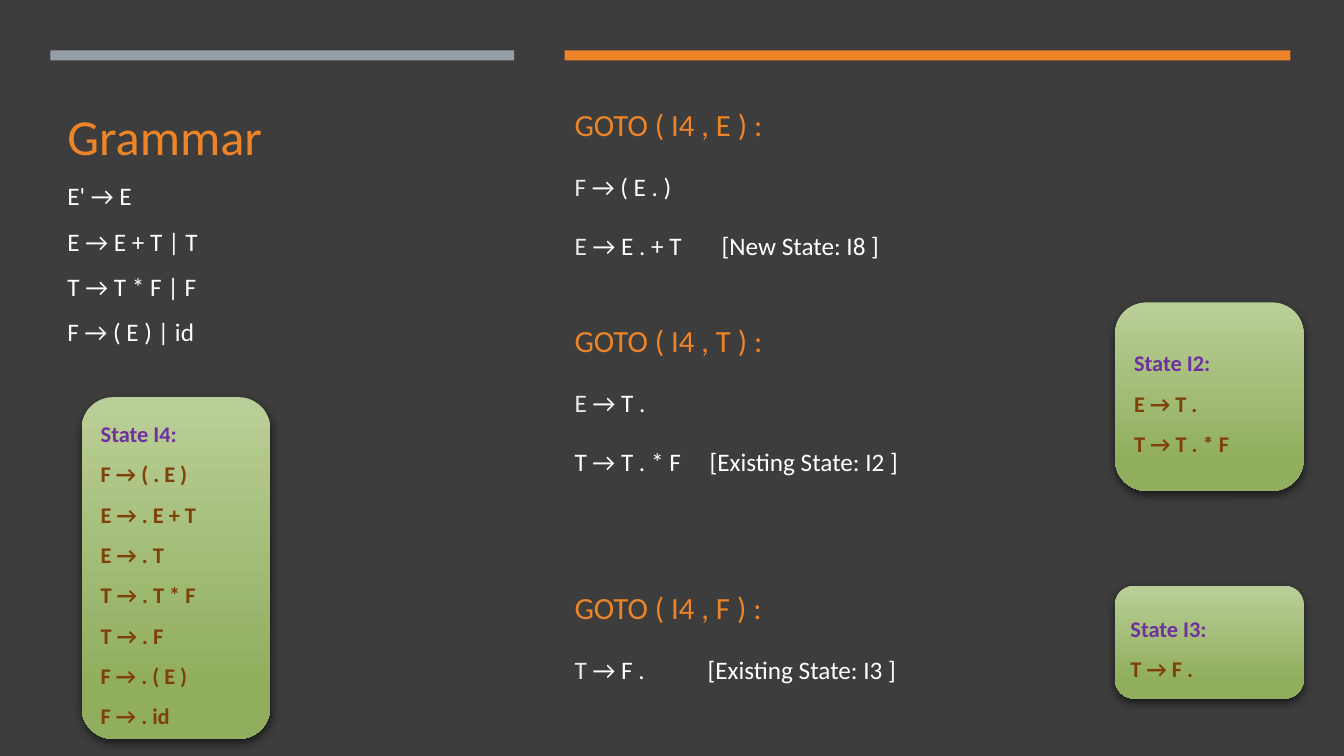
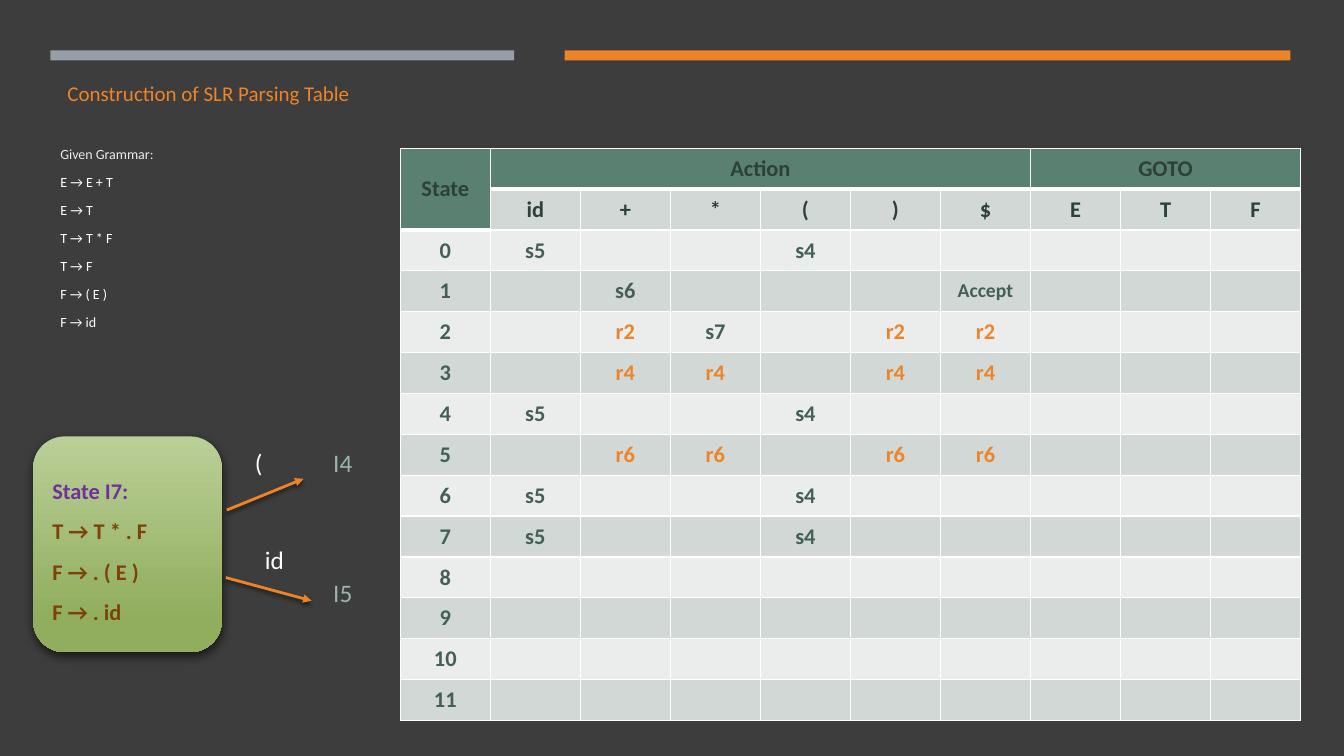
import pptx
import pptx.dml.color
import pptx.enum.dml
import pptx.enum.shapes
import pptx.enum.text
import pptx.oxml
import pptx.oxml.ns
import pptx.util
from lxml import etree

Inches = pptx.util.Inches
Pt = pptx.util.Pt
ANCHOR = pptx.enum.text.MSO_ANCHOR
ALIGN = pptx.enum.text.PP_ALIGN
SHAPE = pptx.enum.shapes.MSO_SHAPE
qn = pptx.oxml.ns.qn

FONT = "Calibri"
COLORS = {
    "background": "3D3D3D",
    "gray_band": "969FA7",
    "accent": "ED8428",
    "white": "FFFFFF",
    "soft_white": "EBEBEB",
    "state_top": "BACF97",
    "state_bottom": "91AE5E",
    "state_name": "7030A0",
    "state_item": "7F410A",
    "target": "98B6AA",
    "table_head": "5A8071",
    "table_head_text": "2D4039",
    "table_text": "446055",
    "row_dark": "D2D8D5",
    "row_light": "EAEDEB",
    "shadow": "000000",
}

SYMBOLS = ["id", "+", "*", "(", ")", "$", "E", "T", "F"]
SHIFTS = {"id": "s5", "(": "s4"}
ACTIONS = {
    0: SHIFTS,
    1: {"+": "s6", "$": "Accept"},
    2: {"*": "s7", **dict.fromkeys("+)$", "r2")},
    3: dict.fromkeys("+*)$", "r4"),
    4: SHIFTS,
    5: dict.fromkeys("+*)$", "r6"),
    6: SHIFTS,
    7: SHIFTS,
}
STATE_COUNT = 12


def rgb(name):
    return pptx.dml.color.RGBColor.from_string(COLORS[name])


def add_run(paragraph, text, size, color, bold=False):
    run = paragraph.add_run()
    run.text = text
    run.font.name = FONT
    run.font.size = Pt(size)
    run.font.bold = bold
    run.font.color.rgb = rgb(color)


def write_lines(frame, lines, bold=False, spacing=1.0, before=0, after=0, align=ALIGN.LEFT, tab=None):
    for index, (size, runs) in enumerate(lines):
        paragraph = frame.paragraphs[0] if index == 0 else frame.add_paragraph()
        paragraph.alignment = align
        paragraph.line_spacing = spacing
        paragraph.space_before = Pt(size * before if index else 0)
        paragraph.space_after = Pt(after)
        if tab:
            tabs = etree.SubElement(paragraph._p.get_or_add_pPr(), qn("a:tabLst"))
            etree.SubElement(tabs, qn("a:tab"), pos=str(Inches(tab)), algn="l")
        for text, color in runs:
            add_run(paragraph, text, size, color, bold)


def add_text(slide, box, lines, anchor=ANCHOR.MIDDLE, **style):
    frame = slide.shapes.add_textbox(*map(Inches, box)).text_frame
    frame.word_wrap = True
    frame.vertical_anchor = anchor
    write_lines(frame, lines, **style)


def add_shadow(shape, alpha, blur, distance, angle):
    properties = shape._element.spPr
    effects = properties.find(qn("a:effectLst"))
    if effects is None:
        effects = etree.SubElement(properties, qn("a:effectLst"))
    shadow = etree.SubElement(
        effects, qn("a:outerShdw"), blurRad=str(Pt(blur)), dist=str(Pt(distance)),
        dir=str(angle * 60000), algn="ctr", rotWithShape="0")
    color = etree.SubElement(shadow, qn("a:srgbClr"), val=COLORS["shadow"])
    etree.SubElement(color, qn("a:alpha"), val=str(alpha * 1000))


def add_band(slide, box, color):
    band = slide.shapes.add_shape(SHAPE.RECTANGLE, *map(Inches, box))
    band.shadow.inherit = False
    band.fill.solid()
    band.fill.fore_color.rgb = rgb(color)
    band.line.fill.background()


def add_base_slide(presentation):
    slide = presentation.slides.add_slide(presentation.slide_layouts[6])
    slide.background.fill.solid()
    slide.background.fill.fore_color.rgb = rgb("background")
    add_band(slide, (0.5, 0.5, 4.6, 0.1), "gray_band")
    add_band(slide, (5.6, 0.5, 7.2, 0.1), "accent")
    return slide


def add_state(slide, box, name, items):
    card = slide.shapes.add_shape(SHAPE.ROUNDED_RECTANGLE, *map(Inches, box))
    card.shadow.inherit = False
    card.line.fill.background()
    card.fill.gradient()
    card.fill.gradient_angle = 270
    stops = zip(card.fill.gradient_stops, (0, 0.84), ("state_top", "state_bottom"))
    for stop, position, color in stops:
        stop.position = position
        stop.color.rgb = rgb(color)
    add_shadow(card, 60, 7, 3, 84)
    frame = card.text_frame
    frame.word_wrap = True
    frame.vertical_anchor = ANCHOR.MIDDLE
    lines = [(16, [(f"State {name}:", "state_name")])]
    lines += [(16, [(item, "state_item")]) for item in items]
    write_lines(frame, lines, bold=True, spacing=1.5)


def add_goto(slide, box, symbol, items, tab):
    lines = [(22, [(f"GOTO ( I4 , {symbol} ) :", "accent")])]
    lines += [(18, runs) for runs in items]
    add_text(slide, box, lines, spacing=1.5, before=0.2, after=6, tab=tab)


def add_arrow(slide, start, end):
    arrow = slide.shapes.add_connector(
        pptx.enum.shapes.MSO_CONNECTOR.STRAIGHT, *map(Inches, start + end))
    arrow.line.color.rgb = rgb("accent")
    arrow.line.width = Pt(2)
    line = arrow._element.spPr.find(qn("a:ln"))
    etree.SubElement(line, qn("a:tailEnd"), type="triangle")
    add_shadow(arrow, 55, 3, 2, 90)


def add_label(slide, box, text, color, align=ALIGN.LEFT):
    add_text(slide, box, [(18, [(text, color)])], anchor=ANCHOR.TOP, align=align)


def style_cell(cell, text, fill, color, size=16, bottom=1):
    properties = cell._tc.get_or_add_tcPr()
    for side, width in zip("LRTB", (1, 1, 1, bottom)):
        border = etree.SubElement(properties, qn(f"a:ln{side}"), w=str(Pt(width)))
        solid = etree.SubElement(border, qn("a:solidFill"))
        etree.SubElement(solid, qn("a:srgbClr"), val=COLORS["white"])
    cell.fill.solid()
    cell.fill.fore_color.rgb = rgb(fill)
    cell.vertical_anchor = ANCHOR.MIDDLE
    if text:
        write_lines(cell.text_frame, [(size, [(text, color)])], bold=True, align=ALIGN.CENTER)


def add_parsing_table(slide, box):
    row_count, column_count = STATE_COUNT + 2, len(SYMBOLS) + 1
    left, top, width, height = map(Inches, box)
    table = slide.shapes.add_table(row_count, column_count, left, top, width, height).table
    table.first_row = table.horz_banding = False
    for column in table.columns:
        column.width = width // column_count
    for row in table.rows:
        row.height = height // row_count

    headings = {0: "State", 1: "Action", 7: "GOTO"}
    for column in range(column_count):
        style_cell(table.cell(0, column), headings.get(column), "table_head", "table_head_text", bottom=3)
    style_cell(table.cell(1, 0), None, "table_head", "table_head_text", bottom=3)
    for column, symbol in enumerate(SYMBOLS, 1):
        style_cell(table.cell(1, column), symbol, "row_dark", "table_head_text")
    for first, last in (((0, 0), (1, 0)), ((0, 1), (0, 6)), ((0, 7), (0, 9))):
        table.cell(*first).merge(table.cell(*last))

    for state in range(STATE_COUNT):
        fill = "row_dark" if state % 2 else "row_light"
        actions = ACTIONS.get(state, {})
        values = [str(state)] + [actions.get(symbol, "") for symbol in SYMBOLS]
        for column, value in enumerate(values):
            color = "accent" if value.startswith("r") else "table_text"
            size = 14 if value == "Accept" else 16
            style_cell(table.cell(state + 2, column), value, fill, color, size)


def build_goto_slide(presentation):
    slide = add_base_slide(presentation)
    rules = ["E' → E", "E → E + T | T", "T → T * F | F", "F → ( E ) | id"]
    lines = [(36, [("Grammar", "accent")])]
    lines += [(18, [(rule, "white")]) for rule in rules]
    add_text(slide, (0.57, 0.6, 4.44, 2.98), lines, spacing=1.5)
    add_goto(slide, (5.6, 0.7, 7.62, 2.05), "E", [
        [("F ", "soft_white"), ("→ ( E . )", "white")],
        [("E ", "soft_white"), ("→ E . + T\t[New State: I8 ]", "white")],
    ], 1.46)
    add_goto(slide, (5.6, 2.84, 4.48, 2.05), "T", [
        [("E ", "soft_white"), ("→ T .", "white")],
        [("T → T . * F\t[Existing State: I2 ]", "white")],
    ], 1.34)
    add_goto(slide, (5.6, 5.38, 4.48, 1.68), "F", [
        [("T ", "soft_white"), ("→ F .\t[Existing State: I3 ]", "white")],
    ], 1.32)
    add_state(slide, (0.81, 3.94, 1.87, 3.39), "I4", [
        "F → ( . E )", "E → . E + T", "E → . T", "T → . T * F",
        "T → . F", "F → . ( E )", "F → . id"])
    add_state(slide, (11.06, 3, 1.87, 1.87), "I2", ["E → T .", "T → T . * F"])
    add_state(slide, (11.06, 5.81, 1.87, 1.12), "I3", ["T → F ."])


def build_table_slide(presentation):
    slide = add_base_slide(presentation)
    add_text(slide, (0.57, 0.69, 3.51, 0.47), [(15, [("Construction of SLR Parsing Table", "accent")])])
    rules = ["E → E + T", "E → T", "T → T * F", "T → F", "F → ( E )", "F → id"]
    lines = [(10, [("Given Grammar:", "soft_white")])]
    lines += [(10, [(rule, "white")]) for rule in rules]
    add_text(slide, (0.5, 1.31, 2.06, 2.1), lines, before=0.2, after=6)
    add_parsing_table(slide, (3.97, 1.47, 8.93, 5.68))
    add_state(slide, (0.33, 4.33, 1.87, 2.14), "I7", ["T → T * . F", "F → . ( E )", "F → . id"])
    add_arrow(slide, (2.25, 5.06), (3.01, 4.75))
    add_arrow(slide, (2.24, 5.73), (3.09, 5.96))
    add_label(slide, (2.43, 4.39, 0.41, 0.4), "(", "white")
    add_label(slide, (2.53, 5.35, 0.57, 0.4), "id", "white")
    for top, target in ((4.39, "I4"), (5.68, "I5")):
        add_label(slide, (3.1, top, 0.6, 0.4), target, "target", ALIGN.CENTER)


def main():
    presentation = pptx.Presentation()
    presentation.slide_width = Inches(13.33)
    presentation.slide_height = Inches(7.5)
    build_goto_slide(presentation)
    build_table_slide(presentation)
    presentation.save("out.pptx")


if __name__ == "__main__":
    main()
